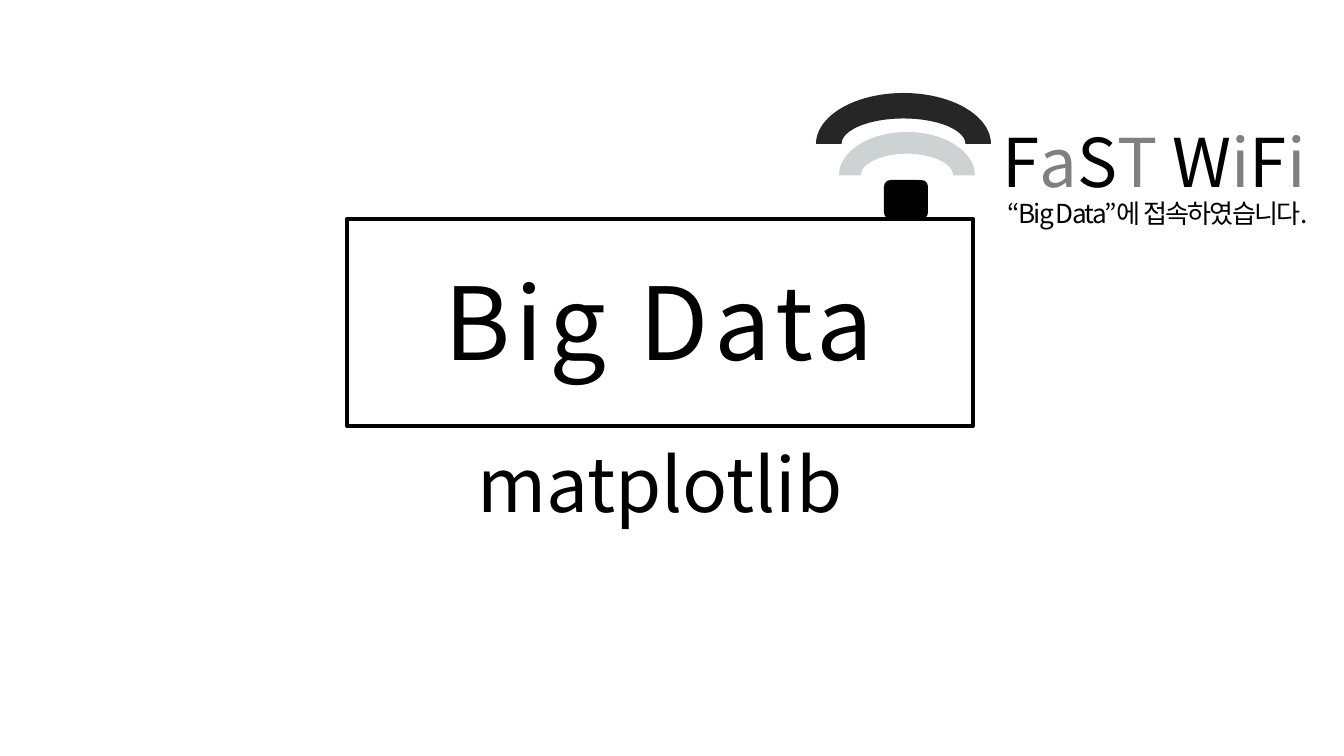
from pptx import Presentation
from pptx.dml.color import RGBColor
from pptx.enum.shapes import MSO_SHAPE
from pptx.enum.text import MSO_ANCHOR, MSO_AUTO_SIZE, PP_ALIGN
from pptx.oxml.ns import qn
from pptx.util import Pt
from lxml.etree import SubElement

W, H = 1344, 756
SCALE = 9144000 / W
FONT = "Noto Sans CJK KR"
COLORS = {"ink": "000000", "dark": "262626", "grey": "808080", "pale": "CDD2D2"}


def px(n):
    """Turn pixels into EMU."""
    return round(n * SCALE)


def rgb(name):
    """Look up a named colour."""
    return RGBColor.from_string(COLORS[name])


def place(sp, x, y, w, h):
    """Move and size a shape in pixels."""
    sp.left, sp.top, sp.width, sp.height = px(x), px(y), px(w), px(h)


def write(sp, runs, size, align=PP_ALIGN.CENTER, spacing=0):
    """Fill a text shape with one line of (text, colour) runs."""
    tf = sp.text_frame
    tf.word_wrap = True
    tf.auto_size = MSO_AUTO_SIZE.NONE
    tf.vertical_anchor = MSO_ANCHOR.TOP
    p = tf.paragraphs[0]
    p.alignment = align
    p.space_before = Pt(0)
    p.font.size, p.font.name = Pt(size), FONT
    for text, color in runs:
        r = p.add_run()
        r.text = text
        r.font.color.rgb = rgb(color)
        rPr = r.font._element
        rPr.set("spc", str(spacing * 100))
        SubElement(rPr, qn("a:ea"), typeface=FONT)


def add_solid(s, kind, color, x, y, w, h):
    """Add a filled shape without outline."""
    sp = s.shapes.add_shape(kind, px(x), px(y), px(w), px(h))
    sp.shadow.inherit = False
    sp.fill.solid()
    sp.fill.fore_color.rgb = rgb(color)
    sp.line.fill.background()


def add_heading(s, x, y, w, h):
    """Framed title with the subtitle below the frame."""
    frame = s.shapes.add_shape(MSO_SHAPE.RECTANGLE, px(x), px(y), px(w), px(h))
    frame.shadow.inherit = False
    frame.fill.background()
    frame.line.color.rgb = rgb("ink")
    frame.line.width = Pt(2.25)
    title, subtitle = s.shapes.title, s.placeholders[1]
    place(title, x - 1, y + 34, w, 136)
    write(title, [("Big Data", "ink")], 54, spacing=3)
    place(subtitle, x, y + h + 5, w, 103)
    write(subtitle, [("matplotlib", "ink")], 40)


def add_antenna(s, x, y):
    """Transmitter with two signal arcs."""
    add_solid(s, MSO_SHAPE.ROUNDED_RECTANGLE, "ink", x + 68, y + 87, 44, 39)
    add_solid(s, MSO_SHAPE.BLOCK_ARC, "pale", x + 23, y + 39, 136, 87)
    add_solid(s, MSO_SHAPE.BLOCK_ARC, "dark", x, y, 175, 102)


def add_network_label(s, x, y):
    """Two-tone network name and the connection message."""
    name = s.shapes.add_textbox(px(x + 11), px(y), px(349), px(95))
    letters = ["F", "a", "S", "T ", "W", "i", "F", "i"]
    runs = [(c, ("ink", "grey")[i % 2]) for i, c in enumerate(letters)]
    write(name, runs, 36, PP_ALIGN.LEFT)
    message = s.shapes.add_textbox(px(x), px(y + 77), px(360), px(46))
    write(message, [("“Big Data”에 접속하였습니다.", "ink")], 14, spacing=-1)


prs = Presentation()
prs.slide_width, prs.slide_height = px(W), px(H)
s = prs.slides.add_slide(prs.slide_layouts[0])
add_heading(s, 347, 219, 626, 207)
add_antenna(s, 816, 93)
add_network_label(s, 978, 114)
prs.save("out.pptx")
